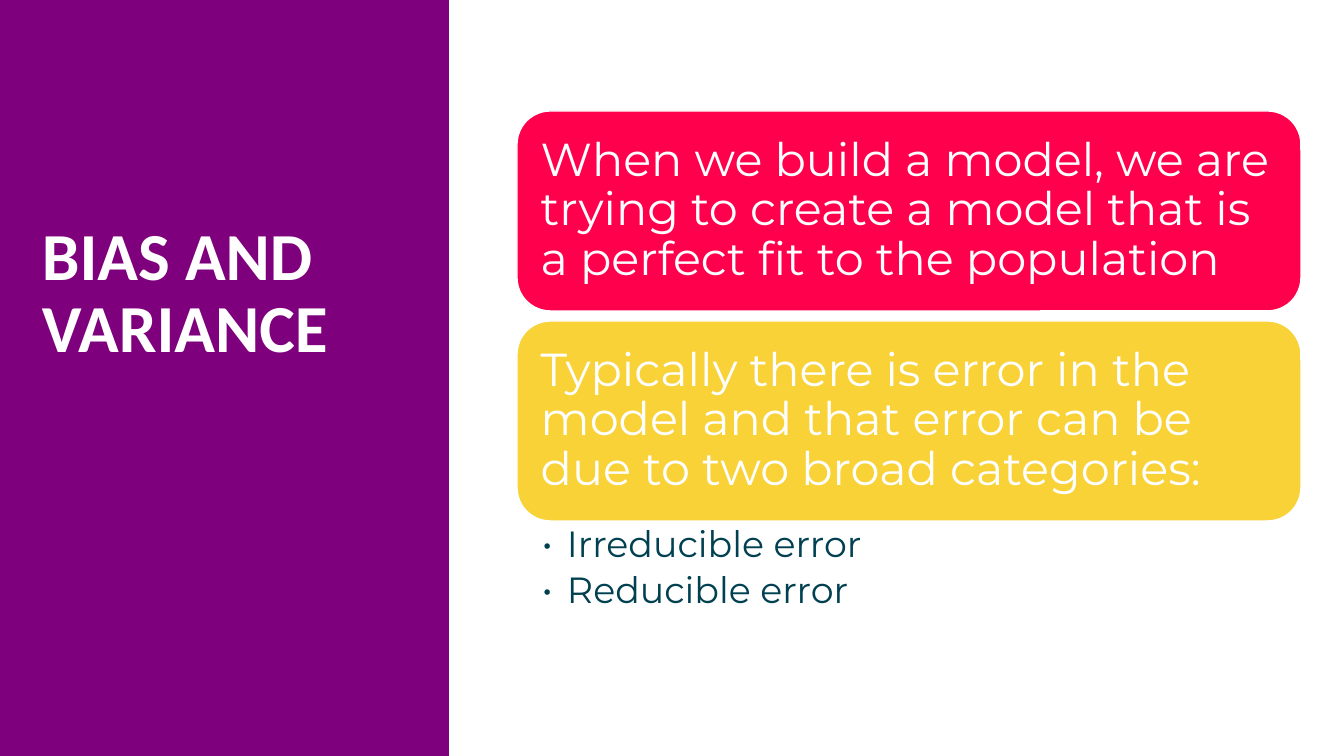
from dataclasses import dataclass

from lxml.etree import SubElement
from pptx import Presentation
from pptx.dml.color import RGBColor
from pptx.enum.shapes import MSO_SHAPE as Preset
from pptx.enum.text import MSO_ANCHOR as Anchor, PP_ALIGN as Align
from pptx.oxml.ns import qn
from pptx.shapes.autoshape import Shape
from pptx.slide import Slide
from pptx.text.text import TextFrame
from pptx.util import Emu, Pt

EMU_PER_PX = 914400 / 100.8


@dataclass(frozen=True)
class Theme:
    purple: str = "7F007D"
    red: str = "FF004C"
    yellow: str = "F8D237"
    white: str = "FFFFFF"
    teal: str = "004050"
    title_font: str = "Calibri"
    body_font: str = "Montserrat"
    title_size: int = 48
    card_size: int = 33
    bullet_size: int = 26
    bullet_gap: float = 5.2
    line_spacing: float = 0.9


@dataclass(frozen=True)
class Box:
    left: int
    top: int
    width: int
    height: int


@dataclass(frozen=True)
class Card:
    text: str
    fill: str


THEME = Theme()
PANEL = Box(0, 0, 449, 756)
TITLE = Box(42, 222, 380, 230)
FIRST_CARD = Box(517, 111, 784, 200)
CARD_PITCH = 210
CARD_INSET = 14
BULLET_INDENT = 25
BULLET_HEIGHT = 100
CARDS = (
    Card("When we build a model, we are trying to create a model that is "
         "a perfect fit to the population", THEME.red),
    Card("Typically there is error in the model and that error can be "
         "due to two broad categories:", THEME.yellow),
)
BULLETS = ("Irreducible error", "Reducible error")


def px(length: int) -> Emu:
    return Emu(round(length * EMU_PER_PX))


def frame(box: Box) -> tuple[Emu, Emu, Emu, Emu]:
    return px(box.left), px(box.top), px(box.width), px(box.height)


def add_block(slide: Slide, preset: Preset, box: Box, fill: str) -> Shape:
    shape = slide.shapes.add_shape(preset, *frame(box))
    shape.shadow.inherit = False
    shape.fill.solid()
    shape.fill.fore_color.rgb = RGBColor.from_string(fill)
    shape.line.fill.background()
    return shape


def write(text_frame: TextFrame, text: str, font: str, size: int, color: str,
          inset_x: int = 0, inset_y: int = 0, bold: bool = False) -> None:
    text_frame.word_wrap = True
    text_frame.margin_left = text_frame.margin_right = px(inset_x)
    text_frame.margin_top = text_frame.margin_bottom = px(inset_y)
    text_frame.text = text
    for paragraph in text_frame.paragraphs:
        paragraph.alignment = Align.LEFT
        paragraph.line_spacing = THEME.line_spacing
        for run in paragraph.runs:
            run.font.name = font
            run.font.size = Pt(size)
            run.font.bold = bold
            run.font.color.rgb = RGBColor.from_string(color)


def add_title(slide: Slide) -> None:
    title = slide.shapes.add_textbox(*frame(TITLE))
    write(title.text_frame, "BIAS AND VARIANCE", THEME.title_font,
          THEME.title_size, THEME.white, bold=True)


def add_card(slide: Slide, card: Card, index: int) -> None:
    box = Box(FIRST_CARD.left, FIRST_CARD.top + index * CARD_PITCH,
              FIRST_CARD.width, FIRST_CARD.height)
    shape = add_block(slide, Preset.ROUNDED_RECTANGLE, box, card.fill)
    shape.line.color.rgb = RGBColor.from_string(THEME.white)
    shape.line.width = Pt(1)
    shape.text_frame.vertical_anchor = Anchor.MIDDLE
    write(shape.text_frame, card.text, THEME.body_font, THEME.card_size,
          THEME.white, CARD_INSET, CARD_INSET)


def add_bullets(slide: Slide) -> None:
    top = FIRST_CARD.top + (len(CARDS) - 1) * CARD_PITCH + FIRST_CARD.height
    box = Box(FIRST_CARD.left, top, FIRST_CARD.width, BULLET_HEIGHT)
    bullets = slide.shapes.add_textbox(*frame(box))
    write(bullets.text_frame, "\n".join(BULLETS), THEME.body_font,
          THEME.bullet_size, THEME.teal, BULLET_INDENT, 5)
    for paragraph in bullets.text_frame.paragraphs:
        paragraph.space_after = Pt(THEME.bullet_gap)
        properties = paragraph._p.get_or_add_pPr()
        properties.set("marL", str(px(BULLET_INDENT)))
        properties.set("indent", str(-px(BULLET_INDENT)))
        SubElement(properties, qn("a:buFont")).set("typeface", THEME.body_font)
        SubElement(properties, qn("a:buChar")).set("char", "•")


def main() -> None:
    presentation = Presentation()
    presentation.slide_width = px(1344)
    presentation.slide_height = px(756)
    slide = presentation.slides.add_slide(presentation.slide_layouts[6])
    add_block(slide, Preset.RECTANGLE, PANEL, THEME.purple)
    add_title(slide)
    for index, card in enumerate(CARDS):
        add_card(slide, card, index)
    add_bullets(slide)
    presentation.save("out.pptx")


if __name__ == "__main__":
    main()
